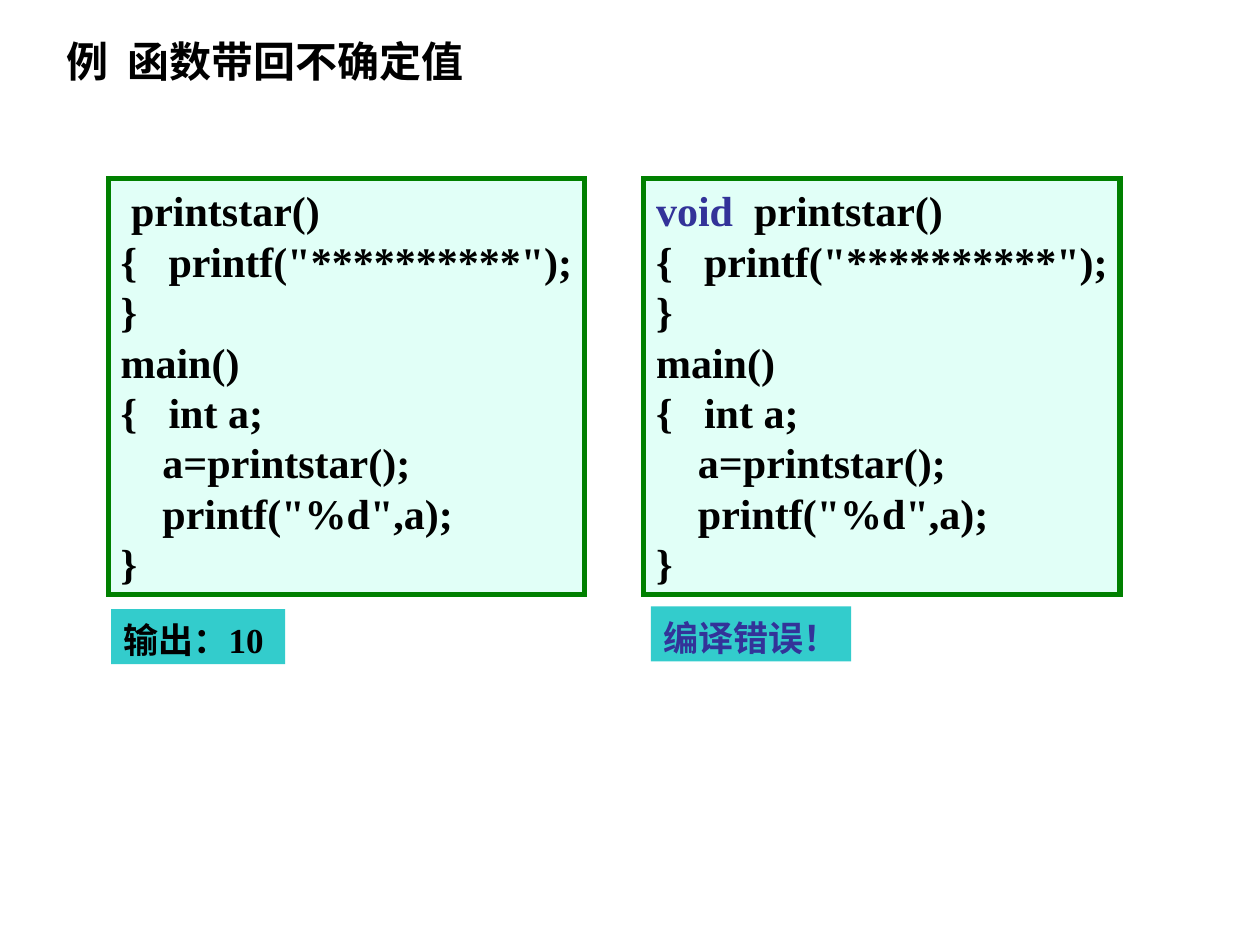
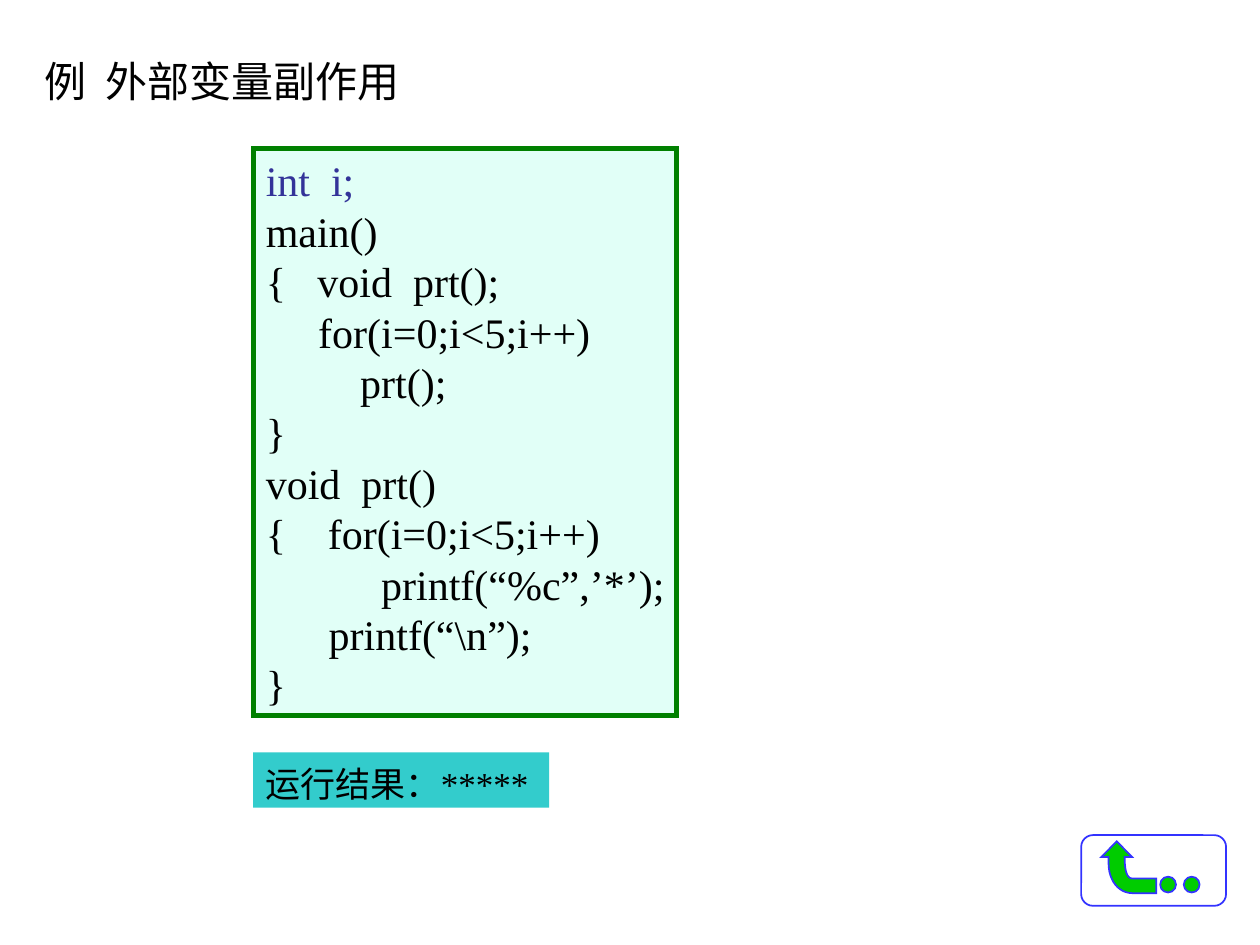
from dataclasses import dataclass

from lxml import etree
from pptx import Presentation
from pptx import util as u
from pptx.dml.color import RGBColor
from pptx.enum import shapes, text
from pptx.oxml import ns


@dataclass(frozen=True)
class Theme:
    font: str = "Times New Roman"
    chinese_font: str = "Noto Sans CJK SC"
    ink: str = "000000"
    accent: str = "333399"
    code_fill: str = "E1FFF7"
    code_line: str = "008000"
    result_fill: str = "33CCCC"
    button_line: str = "3333FF"
    button_fill: str = "00CC00"
    main_size: float = 24
    result_size: float = 20
    leading: float = 1.2
    top_margin: float = 3.6
    chinese_top_margin: float = 5.6


@dataclass(frozen=True)
class Frame:
    left: float
    top: float
    width: float
    height: float

    def lengths(self) -> list[u.Length]:
        return [u.Pt(value) for value in (self.left, self.top, self.width, self.height)]


@dataclass(frozen=True)
class Line:
    plain: str = ""
    accent: str = ""


@dataclass(frozen=True)
class Panel:
    frame: Frame
    lines: list[Line]


@dataclass(frozen=True)
class Page:
    title: Line
    title_frame: Frame
    code: list[Panel]
    results: list[Panel]
    bold: bool = False
    return_button: bool = False


THEME = Theme()


# Text and shape styling
def style_span(span, size: float, color: str, bold: bool) -> None:
    span.font.size = u.Pt(size)
    span.font.bold = bold
    span.font.color.rgb = RGBColor.from_string(color)
    span.font.name = THEME.font
    east_asian = etree.SubElement(span.font._element, ns.qn("a:ea"))
    east_asian.set("typeface", THEME.chinese_font)


def write_lines(box, lines: list[Line], size: float, bold: bool,
                top_margin: float = THEME.chinese_top_margin) -> None:
    frame = box.text_frame
    frame.word_wrap = False
    frame.auto_size = text.MSO_AUTO_SIZE.NONE
    frame.vertical_anchor = text.MSO_ANCHOR.TOP
    frame.margin_left = frame.margin_right = u.Pt(7.2)
    frame.margin_top = u.Pt(top_margin)
    frame.margin_bottom = u.Pt(0)
    for index, line in enumerate(lines):
        para = frame.add_paragraph() if index else frame.paragraphs[0]
        para.alignment = text.PP_ALIGN.LEFT
        para.line_spacing = u.Pt(size * THEME.leading)
        for words, color in ((line.accent, THEME.accent), (line.plain, THEME.ink)):
            if words:
                span = para.add_run()
                span.text = words
                style_span(span, size, color, bold)


def paint(box, fill: str = "", line: str = "", weight: float = 1) -> None:
    box.shadow.inherit = False
    if fill:
        box.fill.solid()
        box.fill.fore_color.rgb = RGBColor.from_string(fill)
    else:
        box.fill.background()
    if line:
        box.line.color.rgb = RGBColor.from_string(line)
        box.line.width = u.Pt(weight)
        # Square corners on the outline
        corner = etree.SubElement(box.line._get_or_add_ln(), ns.qn("a:miter"))
        corner.set("lim", "800000")
    else:
        box.line.fill.background()


def add_box(page, kind: shapes.MSO_SHAPE, frame: Frame, fill: str = "",
            line: str = "", weight: float = 1):
    box = page.shapes.add_shape(kind, *frame.lengths())
    paint(box, fill, line, weight)
    return box


# Return button: rounded frame, bent arrow and two dots
def curve(start: tuple, first: tuple, second: tuple, end: tuple, steps: int = 12) -> list[tuple]:
    points = []
    for step in range(1, steps + 1):
        t = step / steps
        weights = ((1 - t) ** 3, 3 * t * (1 - t) ** 2, 3 * t * t * (1 - t), t ** 3)
        points.append(tuple(
            sum(weight * value for weight, value in zip(weights, axis))
            for axis in zip(start, first, second, end)))
    return points


def add_return_button(page) -> None:
    add_box(page, shapes.MSO_SHAPE.ROUNDED_RECTANGLE, Frame(617.8, 477.2, 82.8, 40.4),
            line=THEME.button_line)
    tail, outer, inner = (660.7, 510.4), (647, 510.4), (647, 502)
    points = [
        tail, outer,
        *curve(outer, (639.4, 510.4), (633.5, 503.3), (633.5, 493.2)),
        (633.5, 489.8), (629.3, 489.8), (638.2, 480.8), (647, 489.8), (642.7, 489.8),
        *curve((642.7, 489.8), (642.7, 497.5), (644, 502), inner),
        (660.7, 502),
    ]
    start, *rest = [(u.Pt(x), u.Pt(y)) for x, y in points]
    builder = page.shapes.build_freeform(*start)
    builder.add_line_segments(rest, close=True)
    paint(builder.convert_to_shape(), THEME.button_fill, THEME.button_line)
    for left in (663, 676.5):
        add_box(page, shapes.MSO_SHAPE.OVAL, Frame(left, 501, 9, 9),
                THEME.button_fill, THEME.button_line)


# Slide content
def star_program(accent: str, first: str) -> list[Line]:
    body = ['{   printf("**********");', "}", "main()", "{   int a;",
            "    a=printstar();", '    printf("%d",a);', "}"]
    return [Line(first, accent), *map(Line, body)]


PAGES = [
    Page(
        title=Line("例  函数带回不确定值"),
        title_frame=Frame(31, 14.4, 260, 36),
        code=[
            Panel(Frame(61.8, 102.2, 272.2, 237.6), star_program("", " printstar()")),
            Panel(Frame(367.8, 102.2, 272.2, 237.6), star_program("void", "  printstar()")),
        ],
        results=[
            Panel(Frame(63.5, 348, 99.4, 31.5), [Line("输出：10")]),
            Panel(Frame(372, 346.5, 114.4, 31.5), [Line(accent="编译错误！")]),
        ],
        bold=True,
    ),
    Page(
        title=Line("例  外部变量副作用"),
        title_frame=Frame(18.5, 26, 236, 36),
        code=[Panel(Frame(144.8, 85, 242, 324), [
            Line(accent="int  i;"),
            *map(Line, [
                "main()",
                "{   void  prt();",
                "     for(i=0;i<5;i++)",
                "         prt();",
                "}",
                "void  prt()",
                "{    for(i=0;i<5;i++)",
                "           printf(“%c”,’*’);",
                "      printf(“\\n”);",
                "}",
            ]),
        ])],
        results=[Panel(Frame(144.6, 430, 169.2, 31.5), [Line("运行结果：*****")])],
        return_button=True,
    ),
]


def add_page(deck, content: Page) -> None:
    page = deck.slides.add_slide(deck.slide_layouts[5])
    title = page.shapes.title
    title.left, title.top, title.width, title.height = content.title_frame.lengths()
    write_lines(title, [content.title], THEME.main_size, content.bold)
    for panel in content.code:
        box = add_box(page, shapes.MSO_SHAPE.RECTANGLE, panel.frame,
                      THEME.code_fill, THEME.code_line, 3)
        write_lines(box, panel.lines, THEME.main_size, content.bold, THEME.top_margin)
    for panel in content.results:
        box = add_box(page, shapes.MSO_SHAPE.RECTANGLE, panel.frame, THEME.result_fill)
        write_lines(box, panel.lines, THEME.result_size, content.bold)
    if content.return_button:
        add_return_button(page)


def main() -> None:
    deck = Presentation()
    deck.slide_width, deck.slide_height = u.Pt(720), u.Pt(540)
    for content in PAGES:
        add_page(deck, content)
    deck.save("out.pptx")


if __name__ == "__main__":
    main()
